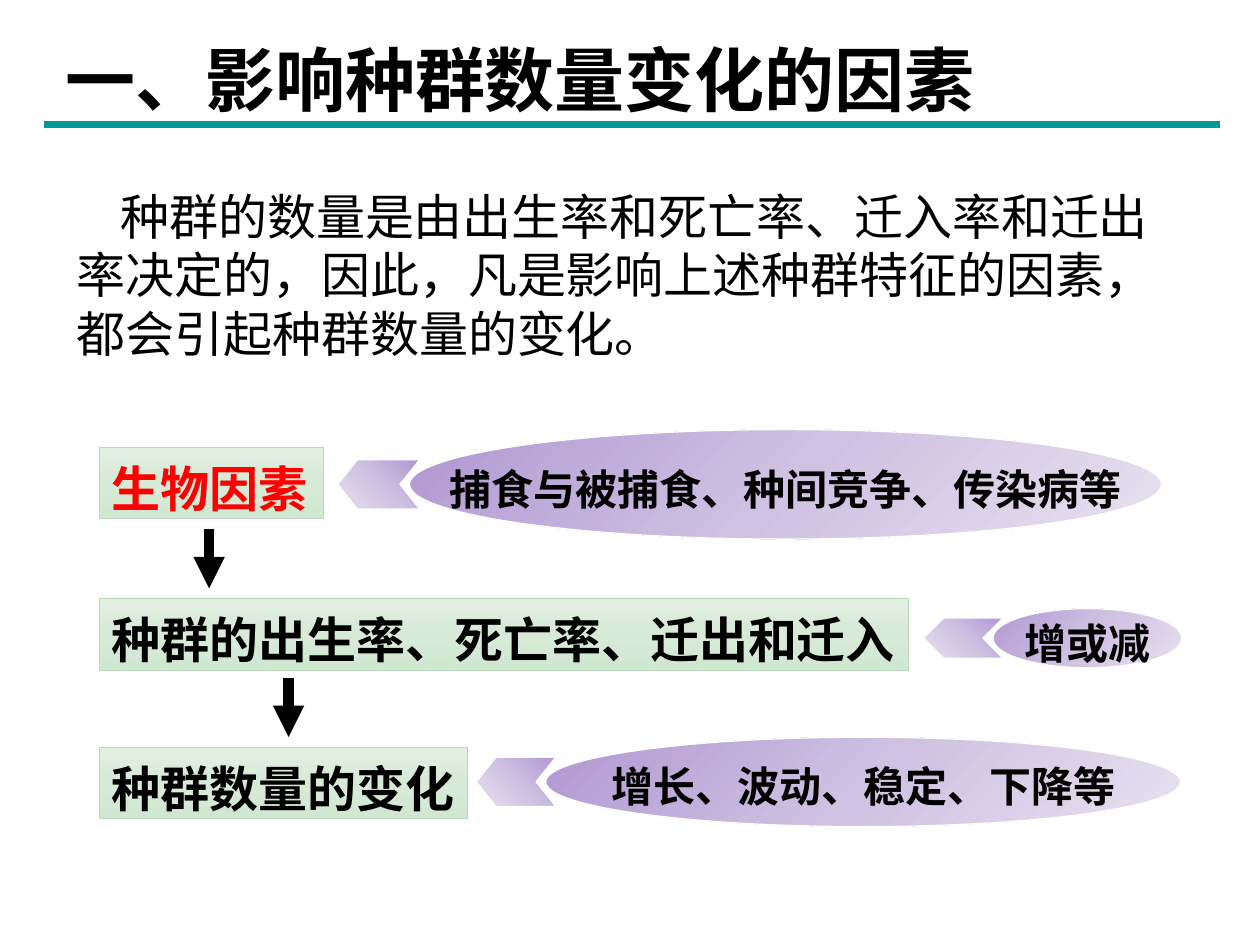
from copy import deepcopy
from dataclasses import dataclass

from lxml.etree import SubElement
from pptx import Presentation
from pptx.dml.color import RGBColor
from pptx.enum.shapes import MSO_CONNECTOR, MSO_SHAPE
from pptx.enum.text import MSO_ANCHOR, MSO_AUTO_SIZE, PP_ALIGN
from pptx.oxml.ns import qn
from pptx.util import Pt

TITLE = "一、影响种群数量变化的因素"
INTRO = ("种群的数量是由出生率和死亡率、迁入率和迁出率决定的，因此，"
         "凡是影响上述种群特征的因素，都会引起种群数量的变化。")
FACTORS = [
    dict(text="生物因素", color="FF0000", top=255.6, width=128.2,
         note="捕食与被捕食、种间竞争、传染病等",
         oval=(234, 429.8, 62.6), mid=276.8, chevron=(46.8, 28.1, 0.4)),
    dict(text="种群的出生率、死亡率、迁出和迁入", color="000000", top=342, width=462.2,
         note="增或减",
         oval=(567.4, 108, 33.8), mid=364.7, chevron=(45.4, 23, 0.5)),
    dict(text="种群数量的变化", color="000000", top=427, width=210.2,
         note="增长、波动、稳定、下降等",
         oval=(311.8, 362.9, 51.1), mid=446.8, chevron=(45.4, 28.1, 0.4)),
]
ARROWS = [(119.5, 302.4), (164.9, 387.4)]
ARROW_LENGTH = 33.8
BOX_LEFT, BOX_HEIGHT = 56.9, 41
OVERLAP = 5.8


@dataclass(frozen=True)
class Theme:
    font: str = "Noto Sans CJK SC"
    title: int = 40
    body: int = 28
    note: int = 24
    text: str = "000000"
    rule: str = "009999"
    green: tuple = ("E2F0E2", "D6EAD6", "D0E8D1")
    green_edge: str = "B7DAB8"
    purple: tuple = ("B197D2", "CEC1E2", "E7E1F0")
    purple_edge: str = "FFFFFF"
    leading: float = 1.2
    drop: float = 0.1


T = Theme()


def rgb(value):
    return RGBColor.from_string(value)


def place(sp, left, top, width, height):
    sp.left, sp.top, sp.width, sp.height = Pt(left), Pt(top), Pt(width), Pt(height)


def write(sp, text, size, color=T.text, bold=True, wrap=False,
          align=PP_ALIGN.LEFT, anchor=MSO_ANCHOR.TOP, indent=0):
    tf = sp.text_frame
    tf.auto_size = MSO_AUTO_SIZE.NONE
    tf.word_wrap = wrap
    tf.vertical_anchor = anchor
    tf.margin_left = tf.margin_right = Pt(7.2)
    tf.margin_top = Pt(3.6 + T.drop * size)
    tf.margin_bottom = Pt(max(0, 3.6 - T.drop * size))
    p = tf.paragraphs[0]
    p.alignment = align
    p.line_spacing = Pt(T.leading * size)
    if indent:
        p._p.get_or_add_pPr().set("indent", str(Pt(indent)))
    r = p.add_run()
    r.text = text
    r.font.name, r.font.size, r.font.bold = T.font, Pt(size), bold
    r.font.color.rgb = rgb(color)
    SubElement(r._r.get_or_add_rPr(), qn("a:ea")).set("typeface", T.font)


def add_block(s, kind, box, colors, angle, edge, edge_width):
    sp = s.shapes.add_shape(kind, *map(Pt, box))
    sp.shadow.inherit = False
    sp.fill.gradient()
    sp.fill.gradient_angle = 360 - angle
    stops = sp._element.spPr.find(qn("a:gradFill")).find(qn("a:gsLst"))
    stops.insert(1, deepcopy(stops[0]))
    for i, (stop, color) in enumerate(zip(sp.fill.gradient_stops, colors)):
        stop.position = i / 2
        stop.color.rgb = rgb(color)
    sp.line.color.rgb = rgb(edge)
    sp.line.width = Pt(edge_width)
    return sp


def add_line(s, x1, y1, x2, y2, color, width, arrow=False):
    line = s.shapes.add_connector(MSO_CONNECTOR.STRAIGHT, Pt(x1), Pt(y1), Pt(x2), Pt(y2))
    line.line.color.rgb = rgb(color)
    line.line.width = Pt(width)
    if arrow:
        SubElement(line.line._get_or_add_ln(), qn("a:tailEnd")).set("type", "triangle")
    SubElement(line._element.spPr, qn("a:effectLst"))


def add_factor(s, f):
    box = add_block(s, MSO_SHAPE.RECTANGLE, (BOX_LEFT, f["top"], f["width"], BOX_HEIGHT),
                    T.green, 90, T.green_edge, 0.5)
    write(box, f["text"], T.body, f["color"])

    left, width, height = f["oval"]
    oval = add_block(s, MSO_SHAPE.OVAL, (left, f["mid"] - height / 2, width, height),
                     T.purple, 45, T.purple_edge, 0.75)
    write(oval, f["note"], T.note, align=PP_ALIGN.CENTER, anchor=MSO_ANCHOR.MIDDLE)

    width, height, notch = f["chevron"]
    chevron = add_block(s, MSO_SHAPE.CHEVRON,
                        (left + OVERLAP - width, f["mid"] - height / 2, width, height),
                        T.purple, 45, T.purple_edge, 0.75)
    chevron.adjustments[0] = notch
    chevron._element.spPr.find(qn("a:xfrm")).set("flipH", "1")


def main():
    prs = Presentation()
    prs.slide_width, prs.slide_height = Pt(720), Pt(540)
    s = prs.slides.add_slide(prs.slide_layouts[5])

    title = s.shapes.title
    place(title, 30.2, 13, 584.6, 55.4)
    write(title, TITLE, T.title, wrap=True)
    add_line(s, 25.2, 71.3, 697, 71.3, T.rule, 4)

    intro = s.shapes.add_textbox(Pt(36.7), Pt(100), Pt(635), Pt(108.7))
    write(intro, INTRO, T.body, bold=False, wrap=True, indent=25)

    for factor in FACTORS:
        add_factor(s, factor)
    for x, y in ARROWS:
        add_line(s, x, y, x, y + ARROW_LENGTH, T.text, 6, arrow=True)

    prs.save("out.pptx")


if __name__ == "__main__":
    main()
